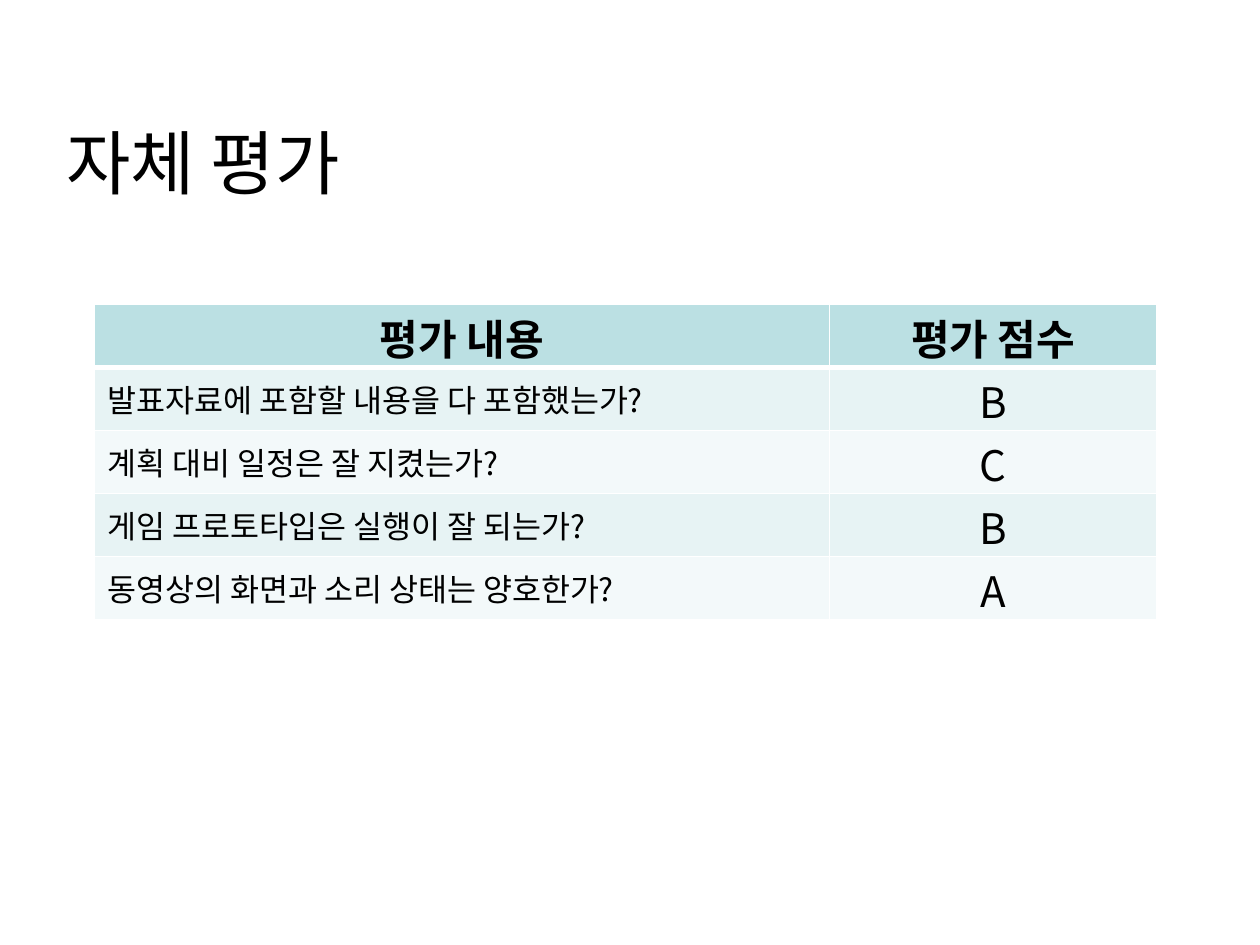
import pptx
import pptx.dml.color
import pptx.enum.text
import pptx.oxml
import pptx.oxml.ns
import pptx.util
from pptx.util import Pt

FONT = "Noto Sans CJK KR"
LEFT = pptx.enum.text.PP_ALIGN.LEFT
CENTER = pptx.enum.text.PP_ALIGN.CENTER
TOP = pptx.enum.text.MSO_ANCHOR.TOP
MIDDLE = pptx.enum.text.MSO_ANCHOR.MIDDLE
HEADINGS = ("평가 내용", "평가 점수")
EVALUATIONS = (
    ("발표자료에 포함할 내용을 다 포함했는가?", "B"),
    ("계획 대비 일정은 잘 지켰는가?", "C"),
    ("게임 프로토타입은 실행이 잘 되는가?", "B"),
    ("동영상의 화면과 소리 상태는 양호한가?", "A"),
)


def color(value):
    return pptx.dml.color.RGBColor.from_string(value)


def write_text(text_frame, text, size, alignment, bold=False):
    text_frame.text = text
    paragraph = text_frame.paragraphs[0]
    paragraph.alignment = alignment
    for run in paragraph.runs:
        run.font.size = Pt(size)
        run.font.bold = bold
        run.font.name = FONT
        run.font.color.rgb = color("000000")
        east_asian = pptx.oxml.parse_xml(
            f'<a:ea {pptx.oxml.ns.nsdecls("a")} typeface="{FONT}"/>'
        )
        run.font._element.find(pptx.oxml.ns.qn("a:latin")).addnext(east_asian)


def set_borders(cell, widths):
    properties = cell._tc.get_or_add_tcPr()
    for position, (side, width) in enumerate(widths.items()):
        border = pptx.oxml.parse_xml(
            f'<a:{side} {pptx.oxml.ns.nsdecls("a")} w="{Pt(width)}">'
            '<a:solidFill><a:srgbClr val="FFFFFF"/></a:solidFill>'
            f'</a:{side}>'
        )
        properties.insert(position, border)


def add_title(slide, left, top, width, height):
    shape = slide.shapes.add_textbox(Pt(left), Pt(top), Pt(width), Pt(height))
    text_frame = shape.text_frame
    text_frame.word_wrap = True
    text_frame.vertical_anchor = MIDDLE
    text_frame.margin_top = 0
    write_text(text_frame, "자체 평가", 40, LEFT)


def add_evaluation_table(slide, left, top, width, height):
    rows = (HEADINGS,) + EVALUATIONS
    table = slide.shapes.add_table(
        len(rows), len(HEADINGS), Pt(left), Pt(top), Pt(width), Pt(height)
    ).table
    question_width = 420
    table.columns[0].width = Pt(question_width)
    table.columns[1].width = Pt(width - question_width)
    for row_index, texts in enumerate(rows):
        table.rows[row_index].height = Pt(height / len(rows))
        is_header = row_index == 0
        band = "E7F3F4" if row_index % 2 else "F3F9FA"
        for column_index, text in enumerate(texts):
            cell = table.cell(row_index, column_index)
            is_question = column_index == 0 and not is_header
            cell.fill.solid()
            cell.fill.fore_color.rgb = color("BBE0E3" if is_header else band)
            cell.vertical_anchor = MIDDLE if is_question else TOP
            if not is_question:
                cell.margin_top = Pt(1.2)
                cell.margin_bottom = 0
            write_text(
                cell.text_frame,
                text,
                18 if is_question else 24,
                LEFT if is_question else CENTER,
                is_header,
            )
            set_borders(cell, {
                "lnL": 1,
                "lnR": 1,
                "lnT": 3 if row_index == 1 else 1,
                "lnB": 3 if is_header else 1,
            })


def main():
    presentation = pptx.Presentation()
    presentation.slide_width = Pt(720)
    presentation.slide_height = Pt(540)
    slide = presentation.slides.add_slide(presentation.slide_layouts[6])
    add_title(slide, 31, 66.2, 617.8, 55.4)
    add_evaluation_table(slide, 54, 174, 607, 180)
    presentation.save("out.pptx")


if __name__ == "__main__":
    main()
